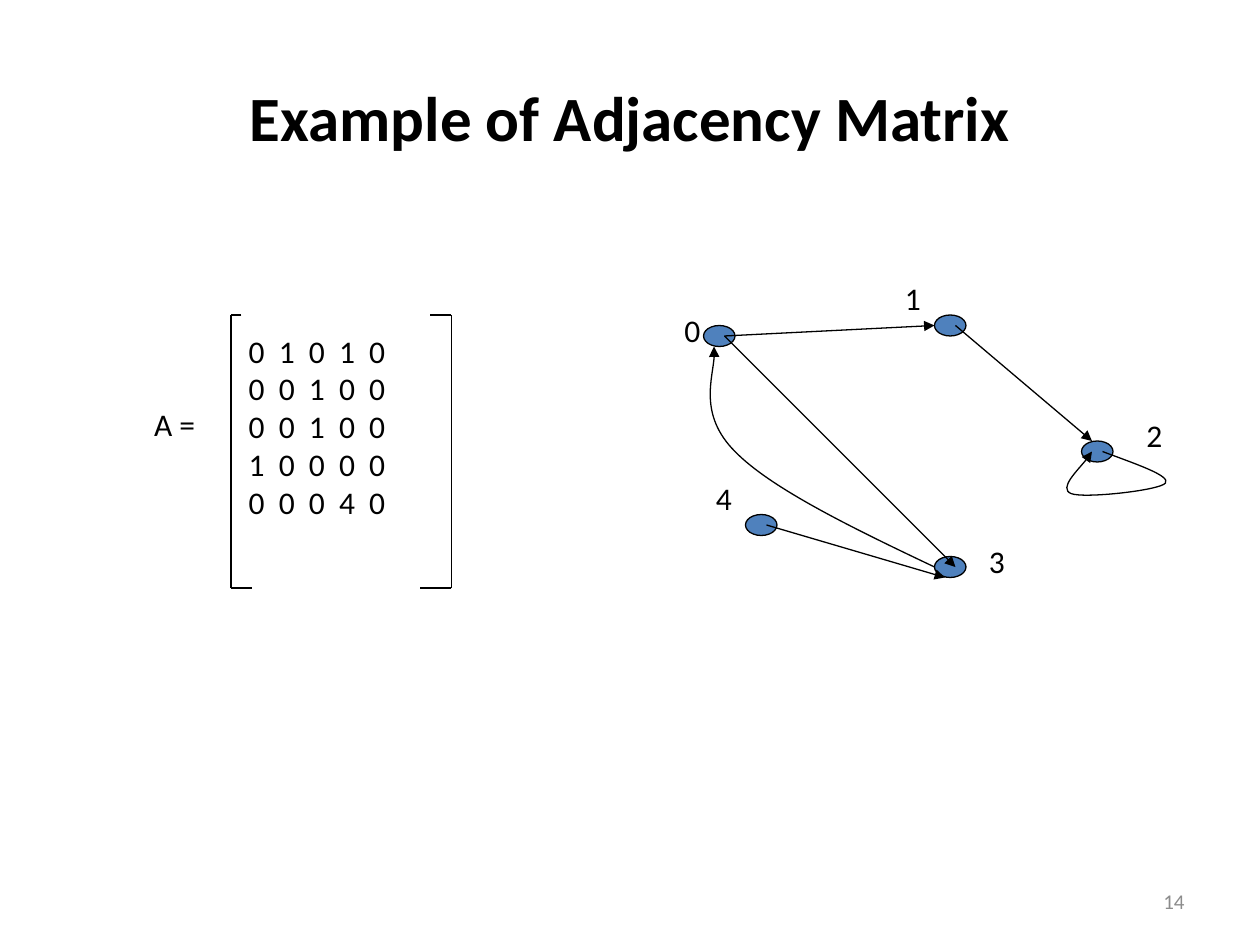
import pptx
import pptx.util
import pptx.dml.color
import pptx.enum.shapes
import pptx.enum.text
import pptx.oxml.ns
from lxml import etree

RGBColor = pptx.dml.color.RGBColor
Align = pptx.enum.text.PP_ALIGN
Anchor = pptx.enum.text.MSO_ANCHOR
qn = pptx.oxml.ns.qn
BLACK = RGBColor(0x00, 0x00, 0x00)
BLUE = RGBColor(0x4F, 0x81, 0xBD)
GRAY = RGBColor(0x8C, 0x8C, 0x8C)

NODES = {"0": (67, 31), "1": (89, 30), "2": (103, 42), "3": (89, 53), "4": (71, 49)}
LABELS = {"0": (64, 29), "1": (85, 26), "2": (108, 39), "3": (93, 51), "4": (67, 45)}
EDGES = [
    ((69, 32), (89, 31)),
    ((91, 31), (104, 42)),
    ((69, 32), (91, 54)),
    ((73, 50), (90, 55)),
]
LOOP = [(105, 43), (108.2, 44.2), (111.5, 45.3), (111, 46), (110.5, 46.7),
        (103.2, 47.5), (102, 47), (100.8, 46.5), (103.7, 43.7), (104, 43)]
RETURN_EDGE = [(89, 54), (81.2, 50.3), (73.4, 46.5), (70, 43),
               (66.5, 39.5), (68.3, 34.7), (68, 33)]
BRACKETS = [
    [(23, 30), (22, 30), (22, 56), (24, 56)],
    [(41, 30), (43, 30), (43, 56), (40, 56)],
]
MATRIX = ["0  1  0  1  0", "0  0  1  0  0", "0  0  1  0  0", "1  0  0  0  0", "0  0  0  4  0"]


def write(frame, text, size=18, color=BLACK, bold=False, align=Align.LEFT, hanging=0):
    """Fill a text frame with one formatted paragraph per line of text."""
    for index, line in enumerate(text.split("\n")):
        para = frame.paragraphs[0] if index == 0 else frame.add_paragraph()
        para.alignment = align
        if hanging:
            properties = para._p.get_or_add_pPr()
            properties.set("marL", str(pptx.util.Inches(hanging)))
            properties.set("indent", str(-pptx.util.Inches(hanging)))
        span = para.add_run()
        span.text = line
        span.font.name = "Calibri"
        span.font.size = pptx.util.Pt(size)
        span.font.bold = bold
        span.font.color.rgb = color


class Board:
    """Draw styled elements on a slide with a grid of 120 columns and 90 rows."""

    def __init__(self, deck):
        self.page = deck.slides.add_slide(deck.slide_layouts[6])
        self.column = deck.slide_width / 120
        self.row = deck.slide_height / 90
        self.stroke = pptx.util.Pt(0.75)

    def place(self, x, y):
        return round(x * self.column), round(y * self.row)

    def outline(self, shape, arrow=False):
        shape.line.color.rgb = BLACK
        shape.line.width = self.stroke
        if arrow:
            etree.SubElement(shape.line._get_or_add_ln(), qn("a:tailEnd"), type="triangle")

    def text(self, text, x, y, width, height, fit=True, anchor=Anchor.TOP, **style):
        box = self.page.shapes.add_textbox(*self.place(x, y), *self.place(width, height))
        frame = box.text_frame
        frame.word_wrap = not fit
        if fit:
            frame.auto_size = pptx.enum.text.MSO_AUTO_SIZE.SHAPE_TO_FIT_TEXT
        frame.vertical_anchor = anchor
        write(frame, text, **style)

    def node(self, x, y):
        oval = pptx.enum.shapes.MSO_SHAPE.OVAL
        shape = self.page.shapes.add_shape(oval, *self.place(x, y), *self.place(3, 2))
        shape.shadow.inherit = False
        shape.fill.solid()
        shape.fill.fore_color.rgb = BLUE
        self.outline(shape)

    def line(self, start, end, arrow=False):
        straight = pptx.enum.shapes.MSO_CONNECTOR.STRAIGHT
        shape = self.page.shapes.add_connector(straight, *self.place(*start), *self.place(*end))
        self.outline(shape, arrow)
        etree.SubElement(shape._element.spPr, qn("a:effectLst"))

    def curve(self, points):
        start, *controls = [self.place(*point) for point in points]
        builder = self.page.shapes.build_freeform(*start)
        builder.add_line_segments(controls, close=False)
        shape = builder.convert_to_shape()
        outline = shape._element.spPr.find(".//" + qn("a:path"))
        segments = outline.findall(qn("a:lnTo"))
        for first in range(0, len(segments), 3):
            bend = etree.SubElement(outline, qn("a:cubicBezTo"))
            for segment in segments[first:first + 3]:
                bend.append(segment[0])
                outline.remove(segment)
        shape.shadow.inherit = False
        shape.fill.background()
        self.outline(shape, arrow=True)


def main():
    deck = pptx.Presentation()
    deck.slide_width = pptx.util.Inches(10)
    deck.slide_height = pptx.util.Inches(7.5)
    board = Board(deck)
    board.text("14", 86, 83.4, 28, 4.8, fit=False, anchor=Anchor.MIDDLE,
               size=12, color=GRAY, align=Align.RIGHT)
    board.text("Example of Adjacency Matrix", 6, 3.6, 108, 15, fit=False,
               anchor=Anchor.MIDDLE, size=36, bold=True, align=Align.CENTER)
    for corner in NODES.values():
        board.node(*corner)
    for name, corner in LABELS.items():
        board.text(name, *corner, 4.4, 6)
    for start, end in EDGES:
        board.line(start, end, arrow=True)
    for points in (LOOP, RETURN_EDGE):
        board.curve(points)
    board.text("\n".join(MATRIX), 22.5, 31, 20.4, 25.2, hanging=0.5)
    for corners in BRACKETS:
        for start, end in zip(corners, corners[1:]):
            board.line(start, end)
    board.text("A =", 13.5, 38, 8.5, 6)
    deck.save("out.pptx")


if __name__ == "__main__":
    main()
